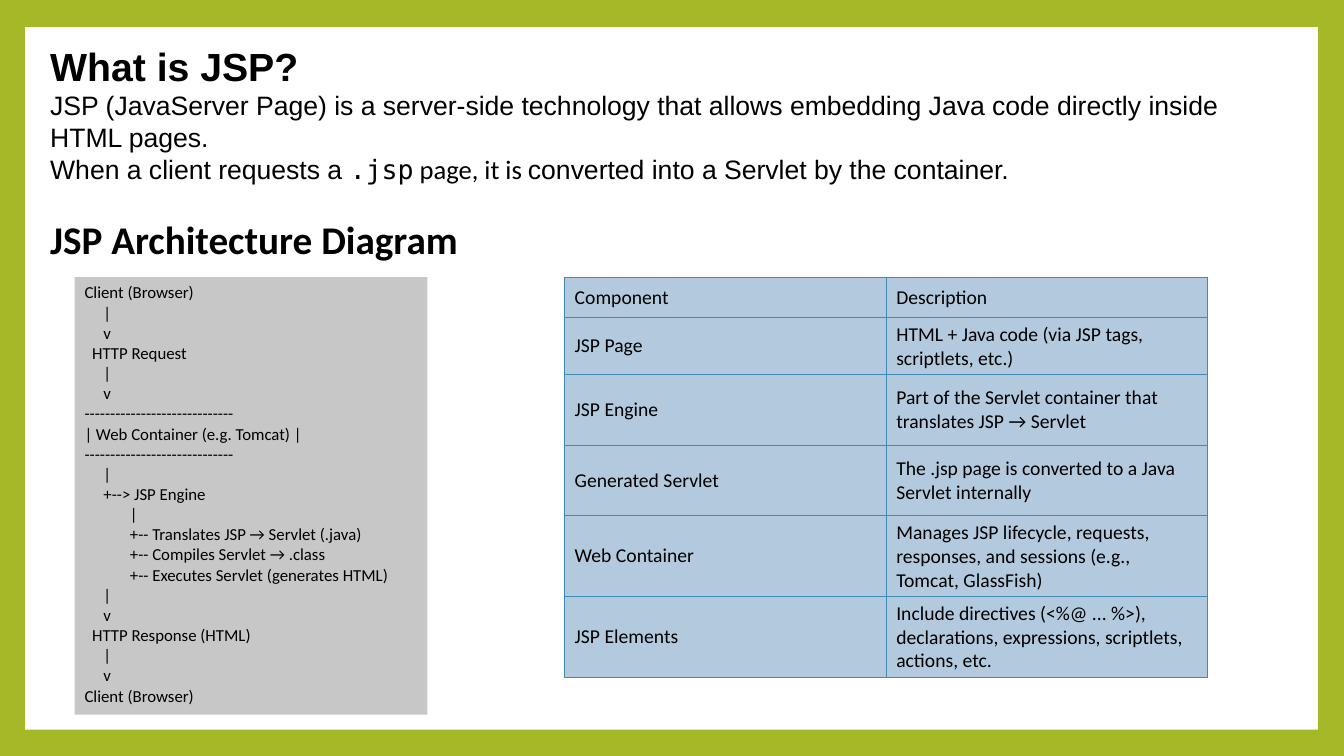
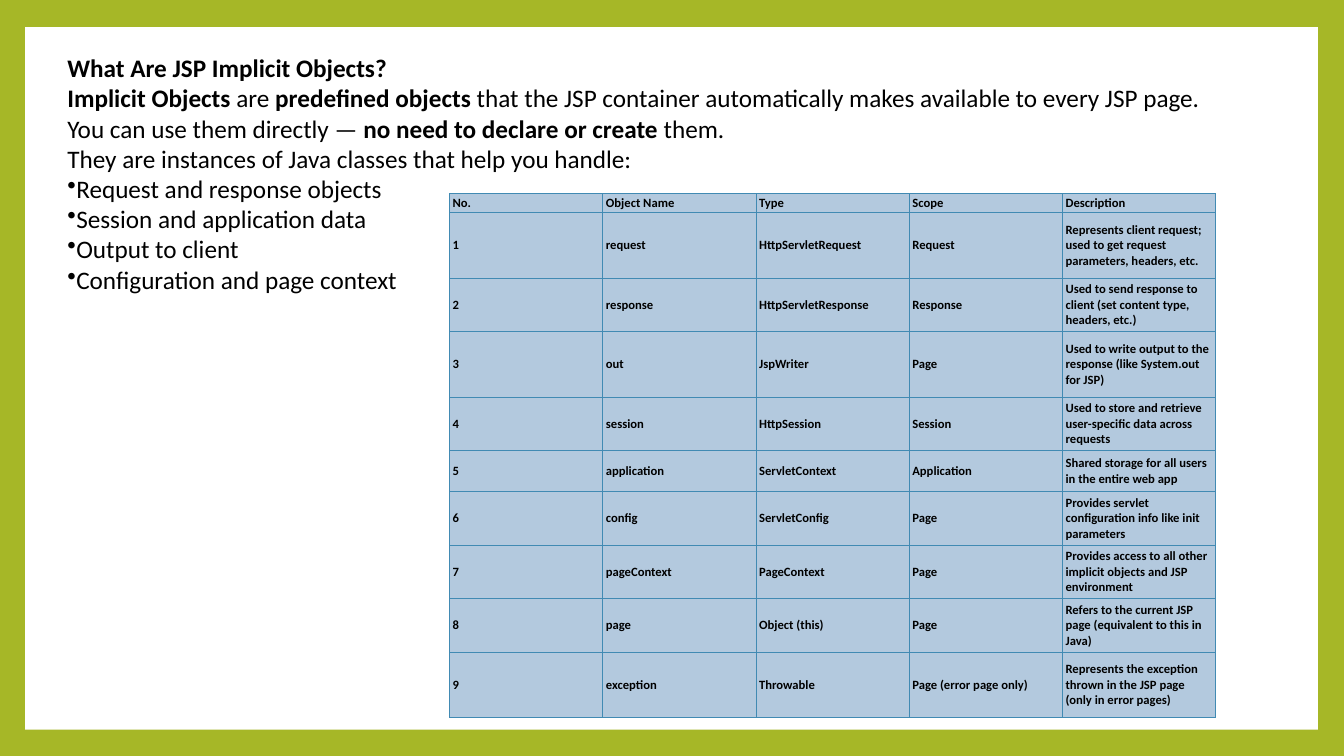
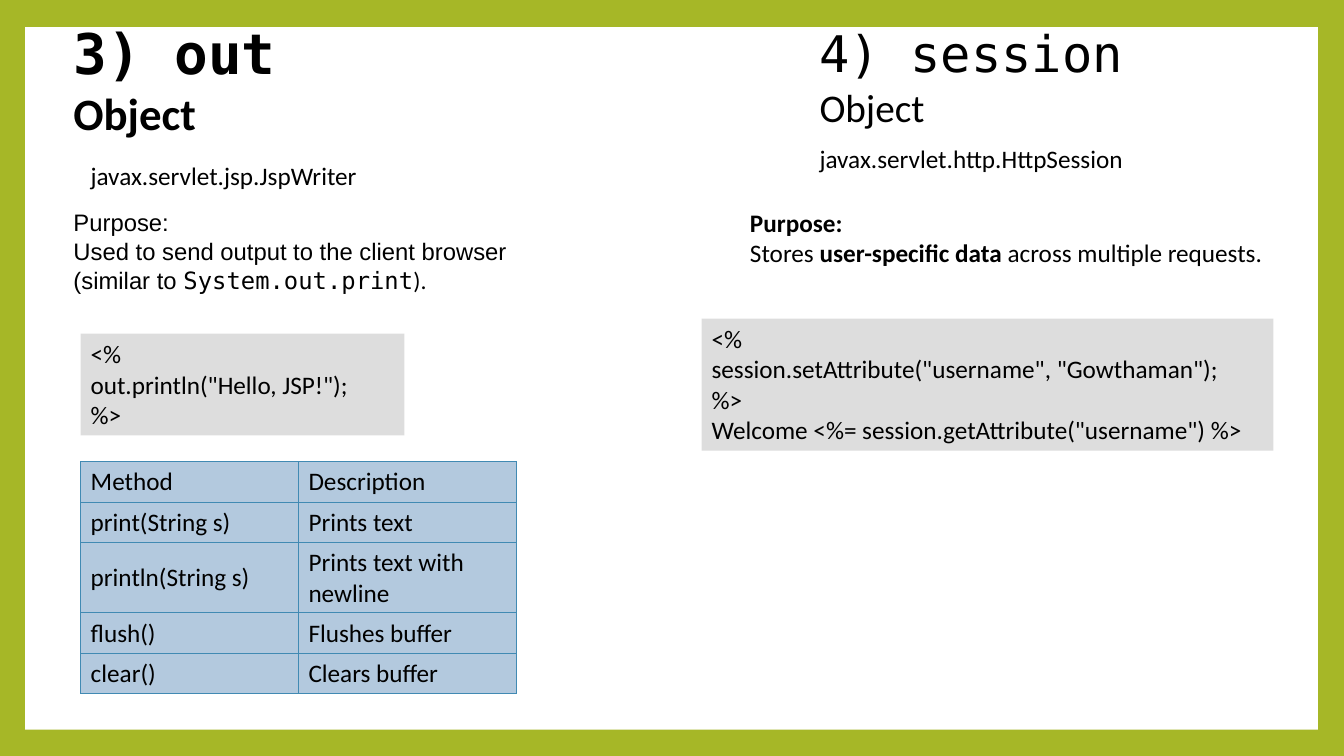
"""Build three slides on JSP: architecture, implicit objects, out and session."""
from lxml import etree
from pptx import Presentation
from pptx.dml.color import RGBColor
from pptx.enum.shapes import MSO_SHAPE
from pptx.enum.text import MSO_ANCHOR, PP_ALIGN
from pptx.oxml.ns import qn
from pptx.util import Pt

RECTANGLE = MSO_SHAPE.RECTANGLE
TOP, MIDDLE = MSO_ANCHOR.TOP, MSO_ANCHOR.MIDDLE
LEFT = PP_ALIGN.LEFT
PX = 9144
SANS, BODY, MONO = "Arial", "Calibri", "DejaVu Sans Mono"
COLORS = {
    "frame": "A6B727",
    "panel": "FFFFFF",
    "text": "000000",
    "diagram": "C7C7C7",
    "code": "DDDDDD",
    "cell": "B3C9DE",
    "border": "418AB3",
}
RGB = {role: RGBColor.from_string(value) for role, value in COLORS.items()}
BOLD = {"bold": True}


def add_text(slide, box, paragraphs, size=18, name=BODY, anchor=TOP, fill=None):
    """Add a text box, or a filled rectangle, of paragraphs made of (text, style) runs."""
    place = [length * PX for length in box]
    if fill:
        holder = slide.shapes.add_shape(RECTANGLE, *place)
        holder.shadow.inherit = False
        holder.fill.solid()
        holder.fill.fore_color.rgb = RGB[fill]
        holder.line.fill.background()
    else:
        holder = slide.shapes.add_textbox(*place)
    frame = holder.text_frame
    frame.word_wrap = True
    frame.vertical_anchor = anchor
    for index, content in enumerate(paragraphs):
        paragraph = frame.add_paragraph() if index else frame.paragraphs[0]
        paragraph.alignment = LEFT
        runs = [(content, {})] if isinstance(content, str) else content
        if runs[0][0].startswith("•"):
            bullet = etree.SubElement(paragraph._p.get_or_add_pPr(), qn("a:buChar"))
            bullet.set("char", "•")
            runs = [(runs[0][0][1:], {})]
        shared = {"size": Pt(size), "name": name, "bold": False}
        if len(runs) == 1:
            shared.update(runs[0][1])
        for key, value in shared.items():
            setattr(paragraph.font, key, value)
        paragraph.font.color.rgb = RGB["text"]
        for text, style in runs:
            for line_number, line in enumerate(text.split("\n")):
                if line_number:
                    paragraph.add_line_break()
                run = paragraph.add_run()
                run.text = line
                if len(runs) > 1:
                    for key, value in style.items():
                        setattr(run.font, key, value)


def add_grid(slide, left, top, column_width, heights, rows, size, bold=False, margins=(10, 5)):
    """Add a bordered table with equal columns."""
    columns = len(rows[0])
    table = slide.shapes.add_table(
        len(rows), columns, left * PX, top * PX, columns * column_width * PX, sum(heights) * PX
    ).table
    table.first_row = table.horz_banding = False
    for column in table.columns:
        column.width = column_width * PX
    for row, height, texts in zip(table.rows, heights, rows):
        row.height = height * PX
        for cell, text in zip(row.cells, texts):
            cell.text = text
            cell.vertical_anchor = MIDDLE
            cell.margin_left = cell.margin_right = margins[0] * PX
            cell.margin_top = cell.margin_bottom = margins[1] * PX
            font = cell.text_frame.paragraphs[0].font
            font.size, font.name, font.bold = Pt(size), BODY, bold
            font.color.rgb = RGB["text"]
            for side in ("lnL", "lnR", "lnT", "lnB"):
                edge = etree.SubElement(cell._tc.get_or_add_tcPr(), qn("a:" + side), w="10000")
                paint = etree.SubElement(edge, qn("a:solidFill"))
                etree.SubElement(paint, qn("a:srgbClr"), val=COLORS["border"])
            cell.fill.solid()
            cell.fill.fore_color.rgb = RGB["cell"]


prs = Presentation()
prs.slide_width, prs.slide_height = 1333 * PX, 750 * PX
master_fill = prs.slide_master.background.fill
master_fill.solid()
master_fill.fore_color.rgb = RGB["frame"]

slides = [prs.slides.add_slide(prs.slide_layouts[6]) for _ in range(3)]
for slide in slides:
    panel = slide.shapes.add_shape(RECTANGLE, 25 * PX, 27 * PX, 1282 * PX, 697 * PX)
    panel.shadow.inherit = False
    panel.fill.solid()
    panel.fill.fore_color.rgb = RGB["panel"]
    panel.line.fill.background()
architecture, implicit_objects, out_and_session = slides

add_text(architecture, (40, 36, 1223, 153), [
    [("What is JSP?", {"size": Pt(28), "bold": True})],
    [("JSP (JavaServer Page) is a server-side technology that allows embedding Java code "
      "directly inside HTML pages.\nWhen a client requests a ", {}),
     (".jsp", {"name": MONO}),
     (" page, it is ", {"name": BODY}),
     ("converted into a Servlet by the container.", {})],
], size=19, name=SANS, anchor=MIDDLE)
add_text(architecture, (40, 209, 454, 57), [[("JSP Architecture Diagram", BOLD)]], size=28)

request_flow = """Client (Browser)
     |
     v
  HTTP Request
     |
     v
-----------------------------
| Web Container (e.g. Tomcat) |
-----------------------------
     |
     +--> JSP Engine
            |
            +-- Translates JSP → Servlet (.java)
            +-- Compiles Servlet → .class
            +-- Executes Servlet (generates HTML)
     |
     v
  HTTP Response (HTML)
     |
     v
Client (Browser)"""
add_text(architecture, (74, 275, 350, 434), request_flow.split("\n"), size=12, fill="diagram")

components = [
    ("Component", "Description"),
    ("JSP Page", "HTML + Java code (via JSP tags, scriptlets, etc.)"),
    ("JSP Engine", "Part of the Servlet container that translates JSP → Servlet"),
    ("Generated Servlet", "The .jsp page is converted to a Java Servlet internally"),
    ("Web Container",
     "Manages JSP lifecycle, requests, responses, and sessions (e.g., Tomcat, GlassFish)"),
    ("JSP Elements",
     "Include directives (<%@ ... %>), declarations, expressions, scriptlets, actions, etc."),
]
add_grid(architecture, 560, 275, 319, [40] * 2 + [70] * 4, components, 14)

add_text(implicit_objects, (57, 47, 1244, 252), [
    [("What Are JSP Implicit Objects?", BOLD)],
    [("Implicit Objects", BOLD),
     (" are ", {}),
     ("predefined objects", BOLD),
     (" that the JSP container automatically makes available to every JSP page.\n"
      "You can use them directly — ", {}),
     ("no need to declare or create", BOLD),
     (" them.", {})],
    "They are instances of Java classes that help you handle:",
    "•Request and response objects",
    "•Session and application data",
    "•Output to client",
    "•Configuration and page context",
])

objects = [
    ("request", "HttpServletRequest", "Request",
     "Represents client request; used to get request parameters, headers, etc."),
    ("response", "HttpServletResponse", "Response",
     "Used to send response to client (set content type, headers, etc.)"),
    ("out", "JspWriter", "Page",
     "Used to write output to the response (like System.out for JSP)"),
    ("session", "HttpSession", "Session",
     "Used to store and retrieve user-specific data across requests"),
    ("application", "ServletContext", "Application",
     "Shared storage for all users in the entire web app"),
    ("config", "ServletConfig", "Page",
     "Provides servlet configuration info like init parameters"),
    ("pageContext", "PageContext", "Page",
     "Provides access to all other implicit objects and JSP environment"),
    ("page", "Object (this)", "Page",
     "Refers to the current JSP page (equivalent to this in Java)"),
    ("exception", "Throwable", "Page (error page only)",
     "Represents the exception thrown in the JSP page (only in error pages)"),
]
object_rows = [("No.", "Object Name", "Type", "Scope", "Description")]
object_rows += [(str(number), *entry) for number, entry in enumerate(objects, 1)]
add_grid(implicit_objects, 446, 192, 152, [16, 65, 53, 65, 53, 41, 53, 53, 53, 65],
         object_rows, 9, bold=True, margins=(3, 2))

add_text(out_and_session, (63, 40, 310, 77), [
    [("3) out", {"name": MONO, "size": Pt(40), "bold": True}), (" Object", BOLD)],
], size=32, anchor=MIDDLE)
add_text(out_and_session, (80, 154, 293, 40), ["javax.servlet.jsp.JspWriter"])
add_text(out_and_session, (63, 201, 462, 96), [
    "Purpose:",
    "Used to send output to the client browser",
    [("(similar to ", {}), ("System.out.print", {"name": MONO}), (").", {"name": BODY})],
], size=17, name=SANS, anchor=MIDDLE)
add_text(out_and_session, (80, 331, 321, 101),
         ["<%", 'out.println("Hello, JSP!");', "%>"], fill="code")
methods = [
    ("Method", "Description"),
    ("print(String s)", "Prints text"),
    ("println(String s)", "Prints text with newline"),
    ("flush()", "Flushes buffer"),
    ("clear()", "Clears buffer"),
]
add_grid(out_and_session, 80, 458, 216, [40] * 5, methods, 18)

add_text(out_and_session, (803, 40, 374, 71), [
    [("4) session", {"name": MONO, "size": Pt(36)}), (" Object", {})],
], size=28, anchor=MIDDLE)
add_text(out_and_session, (803, 137, 336, 40), ["javax.servlet.http.HttpSession"])
add_text(out_and_session, (734, 201, 667, 71), [
    [("Purpose:", BOLD)],
    [("Stores ", {}), ("user-specific data", BOLD), (" across multiple requests.", {})],
])
add_text(out_and_session, (696, 316, 567, 131), [
    "<%",
    'session.setAttribute("username", "Gowthaman");',
    "%>",
    'Welcome <%= session.getAttribute("username") %>',
], fill="code")

prs.save("out.pptx")
